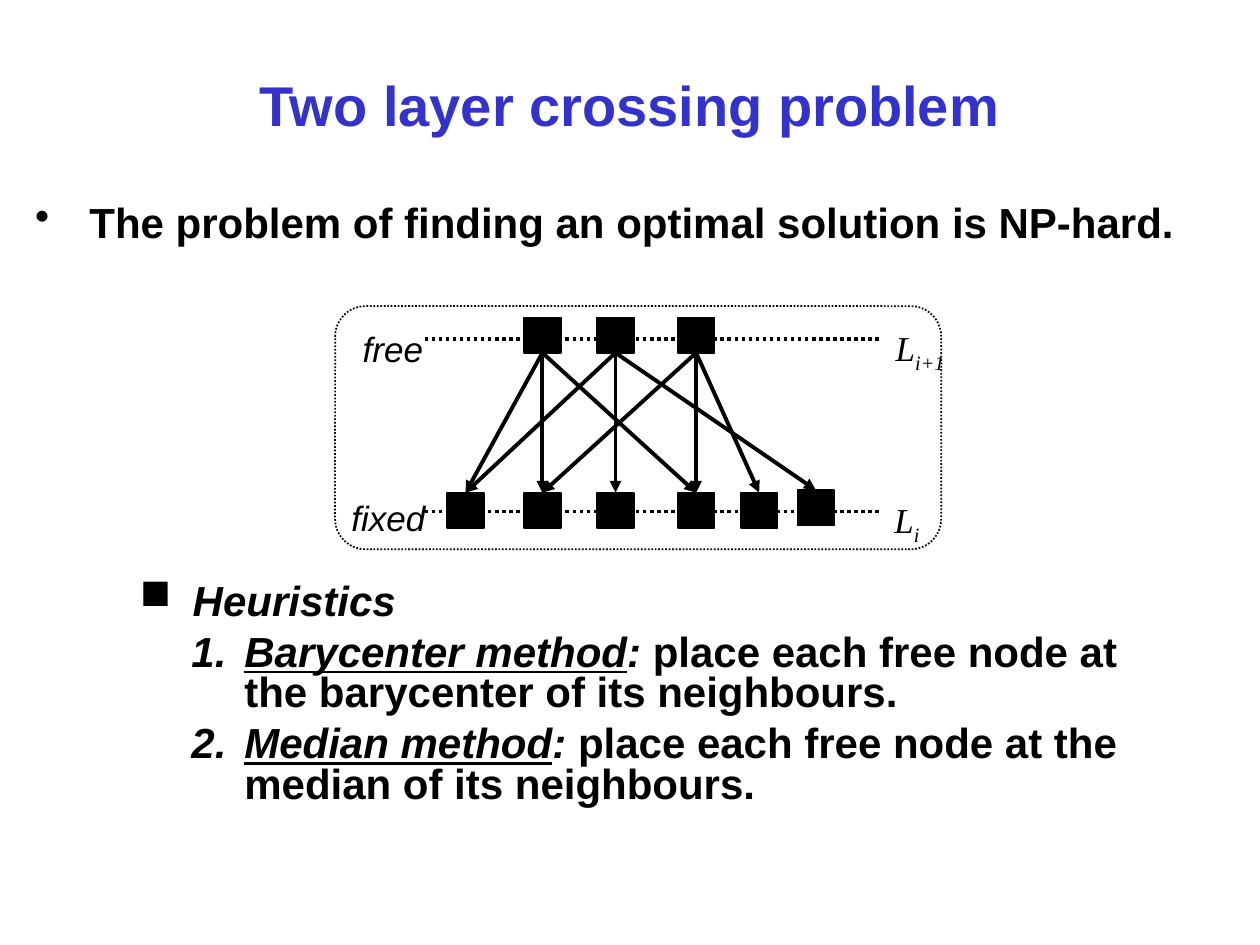
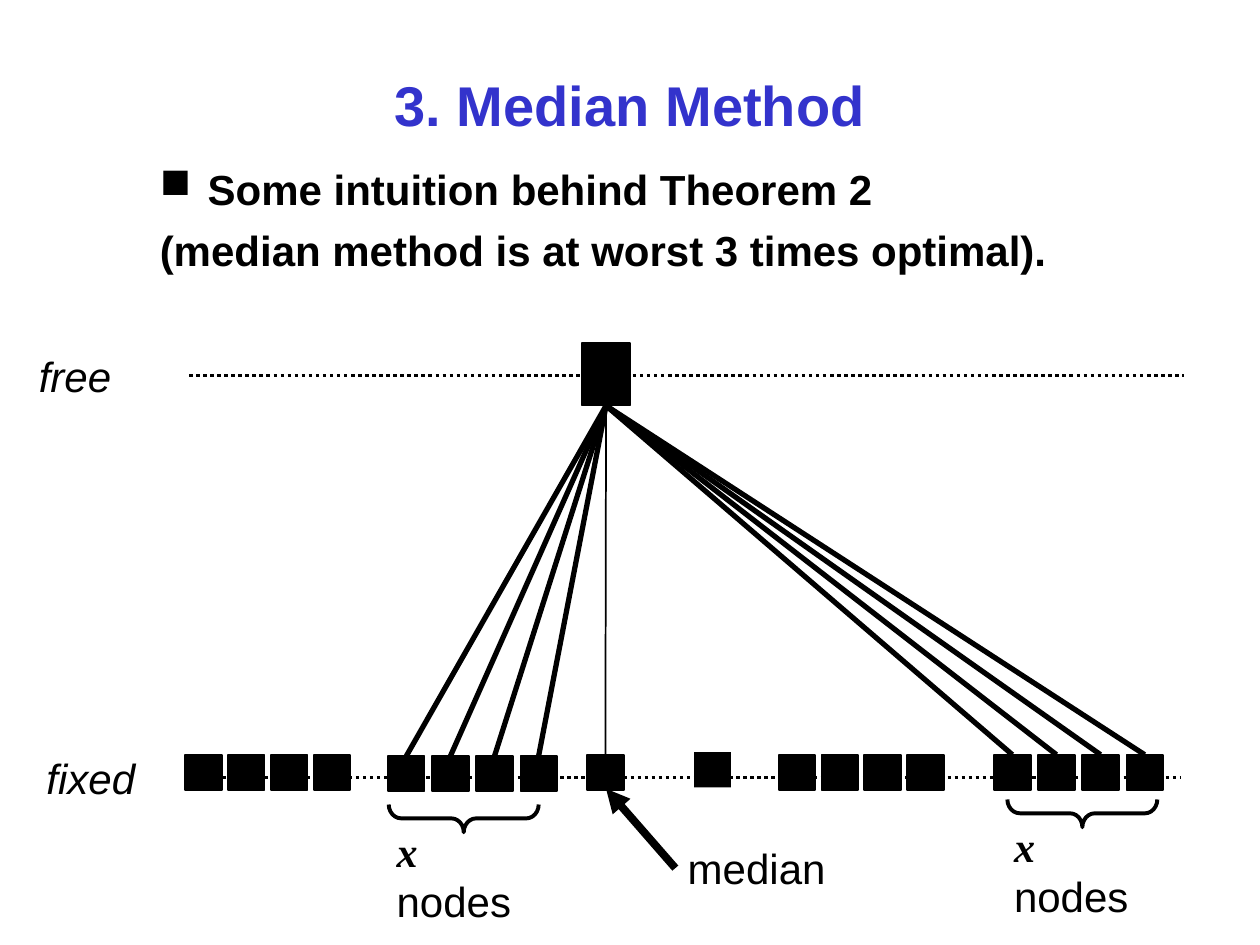
from dataclasses import dataclass

from lxml import etree
from pptx import Presentation
from pptx import util as u
from pptx.dml import color
from pptx.enum import dml, shapes, text
from pptx.oxml import ns


@dataclass(frozen=True)
class Theme:
    ink: color.RGBColor = color.RGBColor(0, 0, 0)
    blue: color.RGBColor = color.RGBColor(0x33, 0x33, 0xCC)
    sans: str = "Arial"
    serif: str = "Times New Roman"
    head: int = 32
    body: int = 24
    small: int = 20
    node: tuple = (0.29, 0.28)


def child(parent, tag, **attrs):
    return etree.SubElement(parent, ns.qn(tag), attrs)


class Pen:
    def __init__(self, deck, theme):
        self.deck = deck
        self.theme = theme
        self.slide = None

    def start(self, title):
        self.slide = self.deck.slides.add_slide(self.deck.slide_layouts[5])
        box = self.slide.shapes.title
        box.left, box.top = u.Inches(0.75), u.Inches(0.33)
        box.width, box.height = u.Inches(8.5), u.Inches(1)
        frame = box.text_frame
        frame.text = title
        frame.vertical_anchor = text.MSO_ANCHOR.MIDDLE
        para = frame.paragraphs[0]
        para.alignment = text.PP_ALIGN.CENTER
        self.style(para.runs[0], "b", self.theme.head, self.theme.blue)

    def style(self, run, marks, size, tint=None):
        font = run.font
        font.name = self.theme.serif if "t" in marks else self.theme.sans
        font.size = u.Pt(size)
        font.color.rgb = tint or self.theme.ink
        font.bold = "b" in marks
        font.italic = "i" in marks
        font.underline = "u" in marks
        if "s" in marks:
            run.font._element.set("baseline", "-25000")

    def fill(self, para, parts, size):
        for words, marks in parts:
            run = para.add_run()
            run.text = words
            self.style(run, marks, size)

    def box(self, at, pad=(0.1, 0.05)):
        box = self.slide.shapes.add_textbox(*map(u.Inches, at))
        frame = box.text_frame
        frame.margin_left = frame.margin_right = u.Inches(pad[0])
        frame.margin_top = frame.margin_bottom = u.Inches(pad[1])
        return frame

    def label(self, at, parts, size):
        frame = self.box(at)
        frame.word_wrap = False
        frame.auto_size = text.MSO_AUTO_SIZE.SHAPE_TO_FIT_TEXT
        self.fill(frame.paragraphs[0], parts, size)

    def points(self, at, items, pad=(0.1, 0.05), lead=1.0):
        frame = self.box(at, pad)
        frame.word_wrap = True
        for num, (mark, left, hang, parts) in enumerate(items):
            para = frame.add_paragraph() if num else frame.paragraphs[0]
            self.bullet(para, mark, left, hang)
            para.line_spacing = lead
            para.space_before = u.Pt(6 if num else 0)
            self.fill(para, parts, self.theme.body)

    def bullet(self, para, mark, left, hang):
        props = para._p.get_or_add_pPr()
        props.set("marL", str(u.Inches(left)))
        props.set("indent", str(-u.Inches(hang)))
        if not mark:
            child(props, "a:buNone")
            return
        child(child(props, "a:buClr"), "a:srgbClr", val=str(self.theme.ink))
        if mark == "1.":
            child(props, "a:buAutoNum", type="arabicPeriod")
        else:
            child(props, "a:buChar", char=mark)

    def shape(self, kind, at, weight=1, solid=True):
        item = self.slide.shapes.add_shape(kind, *map(u.Inches, at))
        item.shadow.inherit = False
        if solid:
            item.fill.solid()
            item.fill.fore_color.rgb = self.theme.ink
        else:
            item.fill.background()
        item.line.color.rgb = self.theme.ink
        item.line.width = u.Pt(weight)
        return item

    def node(self, left, top, size=None):
        size = size or self.theme.node
        return self.shape(shapes.MSO_SHAPE.RECTANGLE, (left, top, *size))

    def row(self, left, top, step, count=4):
        return [self.node(left + step * num, top) for num in range(count)]

    def line(self, start, end, weight, dots=False, arrow=False):
        ends = [u.Inches(val) for val in (*start, *end)]
        item = self.slide.shapes.add_connector(shapes.MSO_CONNECTOR.STRAIGHT, *ends)
        item.line.color.rgb = self.theme.ink
        item.line.width = u.Pt(weight)
        if dots:
            item.line.dash_style = dml.MSO_LINE.ROUND_DOT
        if arrow:
            child(item.line._get_or_add_ln(), "a:tailEnd", type="triangle")
        child(item._element.spPr, "a:effectLst")
        return item

    def edge(self, upper, lower, weight, arrow=False):
        item = self.line((0, 0), (1, 1), weight, arrow=arrow)
        item.begin_connect(upper, 2)
        item.end_connect(lower, 0)

    def brace(self, left, top):
        kind = shapes.MSO_SHAPE.RIGHT_BRACE
        item = self.shape(kind, (left, top, 0.22, 1.19), 2.25, solid=False)
        item.rotation = 90
        item.adjustments[0] = 0.45


def crossing(pen):
    theme = pen.theme
    pad = (0.11, 0.06)
    pen.start("Two layer crossing problem")
    methods = [
        ("Barycenter method", "place each free node at the barycenter of its neighbours."),
        ("Median method", "place each free node at the median of its neighbours."),
    ]
    items = [("■", 0.42, 0.42, [("Heuristics", "bi")])]
    for name, rule in methods:
        items.append(("1.", 0.83, 0.42, [(name, "biu"), (": ", "bi"), (rule, "b")]))
    pen.points((1, 4.58, 8, 1.93), items, pad, 0.8)
    claim = "The problem of finding an optimal solution is NP-hard."
    pen.points((0.17, 1.5, 9.67, 0.56), [("•", 0.43, 0.43, [(claim, "b")])], pad)

    for y in (2.69, 4.06):
        pen.line((3.37, y), (6.99, y), 2, dots=True)
    pen.label((7, 3.91, 0.4, 0.48), [("L", "ti"), ("i", "tis")], theme.small)
    pen.label((7.01, 2.54, 0.59, 0.48), [("L", "ti"), ("i+1", "tis")], theme.small)
    pen.label((2.69, 3.89, 0.79, 0.43), [("fixed", "i")], theme.small)
    pen.label((2.78, 2.55, 0.68, 0.43), [("free", "i")], theme.small)
    frame = pen.shape(shapes.MSO_SHAPE.ROUNDED_RECTANGLE, (2.66, 2.43, 4.81, 1.93), solid=False)
    frame.adjustments[0] = 0.125
    frame.line.dash_style = dml.MSO_LINE.ROUND_DOT

    free = [pen.node(x, 2.52) for x in (4.16, 4.74, 5.38)]
    fixed = [pen.node(x, 3.91) for x in (3.55, 4.16, 4.74, 5.38, 5.88)]
    fixed.append(pen.node(6.33, 3.89))
    for upper, ends in zip(free, [(0, 1, 3), (2, 0, 5), (3, 4, 1)]):
        for end in ends:
            pen.edge(upper, fixed[end], 2.25, arrow=True)


def median(pen):
    size = pen.theme.body
    pen.start("3. Median Method")
    pen.points((1.17, 1.25, 8, 1.05), [
        ("■", 0.38, 0.38, [("Some intuition behind Theorem 2", "b")]),
        (None, 0.38, 0.38, [("(median method is at worst 3 times optimal).", "b")]),
    ])
    pen.line((1.5, 2.98), (9.4, 2.98), 2, dots=True)
    pen.line((1.65, 6.17), (9.37, 6.17), 2, dots=True)
    pen.label((0.27, 5.92, 0.91, 0.5), [("fixed", "i")], size)
    pen.label((0.21, 2.73, 0.78, 0.5), [("free", "i")], size)

    free = pen.node(4.62, 2.72, (0.38, 0.5))
    pen.row(1.47, 5.99, 0.34)
    pen.row(6.18, 5.99, 0.34)
    for lower in pen.row(3.08, 6, 0.35) + pen.row(7.89, 5.99, 0.35):
        pen.edge(free, lower, 3)
    middle = pen.node(4.66, 5.99)
    pen.node(5.51, 5.97).line.fill.background()
    pen.edge(free, middle, 1)

    for left, top, x, y in [(3.05, 6.5, 3.57, 5.9), (7.95, 6.46, 8.48, 5.86)]:
        pen.label((left, top, 1.36, 0.5), [("x", "tbi"), (" nodes", "")], size)
        pen.brace(x, y)
    pen.label((5.36, 6.64, 1.29, 0.5), [("median", "")], size)
    pen.line((5.36, 6.89), (4.81, 6.26), 4.5, arrow=True)


def main():
    deck = Presentation()
    deck.slide_width, deck.slide_height = u.Inches(10), u.Inches(7.5)
    pen = Pen(deck, Theme())
    crossing(pen)
    median(pen)
    deck.save("out.pptx")


if __name__ == "__main__":
    main()
